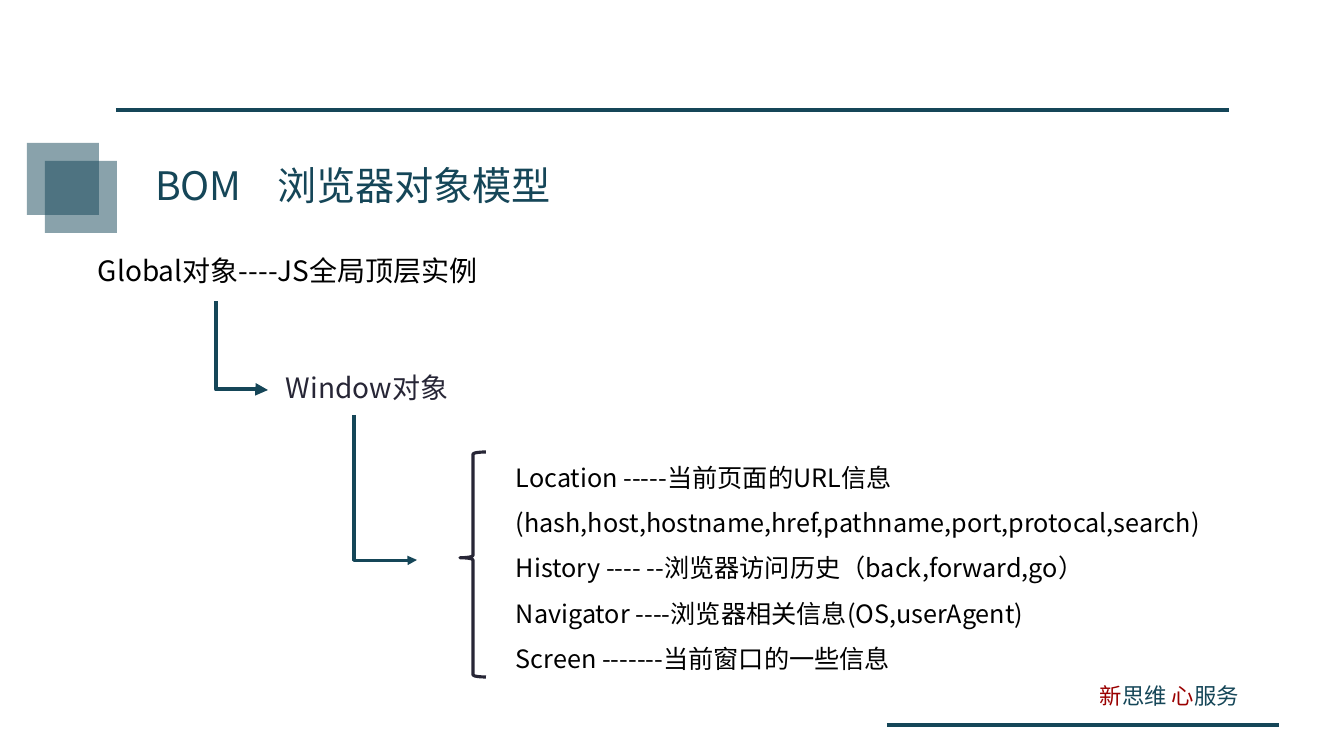
from lxml import etree
from pptx import Presentation
from pptx.dml.color import RGBColor
from pptx.enum.shapes import MSO_CONNECTOR as Link, MSO_SHAPE as Preset
from pptx.enum.text import MSO_ANCHOR as Anchor, MSO_AUTO_SIZE as AutoSize, PP_ALIGN as Align
from pptx.oxml.ns import qn
from pptx.util import Emu, Pt

EMU_PER_PX = 914400 / 100.8
FONT = "Noto Sans CJK SC"
COLORS = {"teal": "154658", "red": "9A0000", "dark": "272636", "black": "000000"}
MEMBERS = [
    "Location -----当前页面的URL信息\v(hash,host,hostname,href,pathname,port,protocal,search)",
    "History ---- --浏览器访问历史（back,forward,go）",
    "Navigator ----浏览器相关信息(OS,userAgent)",
    "Screen -------当前窗口的一些信息",
]


def px(*lengths):
    return [Emu(round(length * EMU_PER_PX)) for length in lengths]


def color(name):
    return RGBColor.from_string(COLORS[name])


def format_run(run, size, tint, font=FONT):
    run.font.name = font
    run.font.size = Pt(size)
    run.font.color.rgb = color(tint)
    etree.SubElement(run.font._element, qn("a:ea"), typeface=FONT)


def add_title(slide, box, words, fonts, gap):
    title = slide.shapes.title
    title.left, title.top, title.width, title.height = px(*box)
    frame = title.text_frame
    frame.auto_size = AutoSize.NONE
    frame.vertical_anchor = Anchor.TOP
    heading = frame.paragraphs[0]
    heading.alignment = Align.LEFT
    for word, font in zip(words, fonts):
        run = heading.add_run()
        run.text = word
        format_run(run, 28, "teal", font)
    stops = etree.SubElement(heading._p.get_or_add_pPr(), qn("a:tabLst"))
    etree.SubElement(stops, qn("a:tab"), pos=str(px(gap)[0]), algn="l")


def add_text(slide, box, lines, size, tint, spacing=1.0):
    frame = slide.shapes.add_textbox(*px(*box)).text_frame
    frame.word_wrap = True
    frame.text = "\n".join(lines)
    for paragraph in frame.paragraphs:
        paragraph.line_spacing = spacing
        for run in paragraph.runs:
            format_run(run, size, tint)


def add_slogan(slide, box, parts):
    frame = slide.shapes.add_textbox(*px(*box)).text_frame
    frame.word_wrap = True
    for word, tint in parts:
        run = frame.paragraphs[0].add_run()
        run.text = word
        format_run(run, 16, tint)


def add_line(slide, kind, ends, weight):
    line = slide.shapes.add_connector(kind, *px(*ends))
    line.line.color.rgb = color("teal")
    line.line.width = Pt(weight)
    etree.SubElement(line._element.spPr, qn("a:effectLst"))
    return line


def add_elbow_arrow(slide, start, end, weight, bend):
    (x1, y1), (x2, y2) = start, end
    center_x, center_y = (x1 + x2) / 2, (y1 + y2) / 2
    half_w, half_h = (y2 - y1) / 2, (x2 - x1) / 2
    ends = (center_x + half_w, center_y - half_h, center_x - half_w, center_y + half_h)
    arrow = add_line(slide, Link.ELBOW, ends, weight)
    properties = arrow._element.spPr
    properties.find(qn("a:xfrm")).set("rot", str(270 * 60000))
    guides = properties.find(qn("a:prstGeom")).find(qn("a:avLst"))
    etree.SubElement(guides, qn("a:gd"), name="adj1", fmla=f"val {bend}")
    etree.SubElement(arrow.line._get_or_add_ln(), qn("a:tailEnd"), type="triangle")


def add_square(slide, left, top, side):
    square = slide.shapes.add_shape(Preset.RECTANGLE, *px(left, top, side, side))
    square.shadow.inherit = False
    square.fill.solid()
    square.fill.fore_color.rgb = color("teal")
    square.line.fill.background()
    tint = square._element.spPr.find(qn("a:solidFill"))[0]
    etree.SubElement(tint, qn("a:alpha"), val="50000")


def add_brace(slide, box):
    brace = slide.shapes.add_shape(Preset.LEFT_BRACE, *px(*box))
    brace.shadow.inherit = False
    brace.fill.background()
    brace.line.color.rgb = color("dark")
    brace.line.width = Pt(2.25)
    brace.adjustments[0] = 0.08
    brace.adjustments[1] = 0.47


def main():
    deck = Presentation()
    deck.slide_width, deck.slide_height = px(1344, 756)
    slide = deck.slides.add_slide(deck.slide_layouts[5])

    add_title(slide, (145, 156, 437, 57), ("BOM\t", "浏览器对象模型"), (FONT, "Calibri"), 122)
    for ends in ((116, 110, 1229, 110), (887, 725, 1279, 725)):
        add_line(slide, Link.STRAIGHT, ends, 2.25)
    add_slogan(slide, (1090, 677, 169, 37),
               [("新", "red"), ("思维 ", "teal"), ("心", "red"), ("服务", "teal")])

    add_text(slide, (88, 249, 417, 44), ["Global对象----JS全局顶层实例"], 20, "black")
    add_text(slide, (276, 366, 197, 44), ["Window对象"], 20, "dark")
    add_text(slide, (506, 442, 754, 235), MEMBERS, 18, "black", 1.5)
    add_brace(slide, (460, 452, 26, 225))

    add_elbow_arrow(slide, (216, 301), (268, 390), 3, 99300)
    add_elbow_arrow(slide, (354, 415), (417, 560), 2.25, 100300)
    for offset in (0, 18):
        add_square(slide, 27 + offset, 143 + offset, 72)

    deck.save("out.pptx")


if __name__ == "__main__":
    main()
